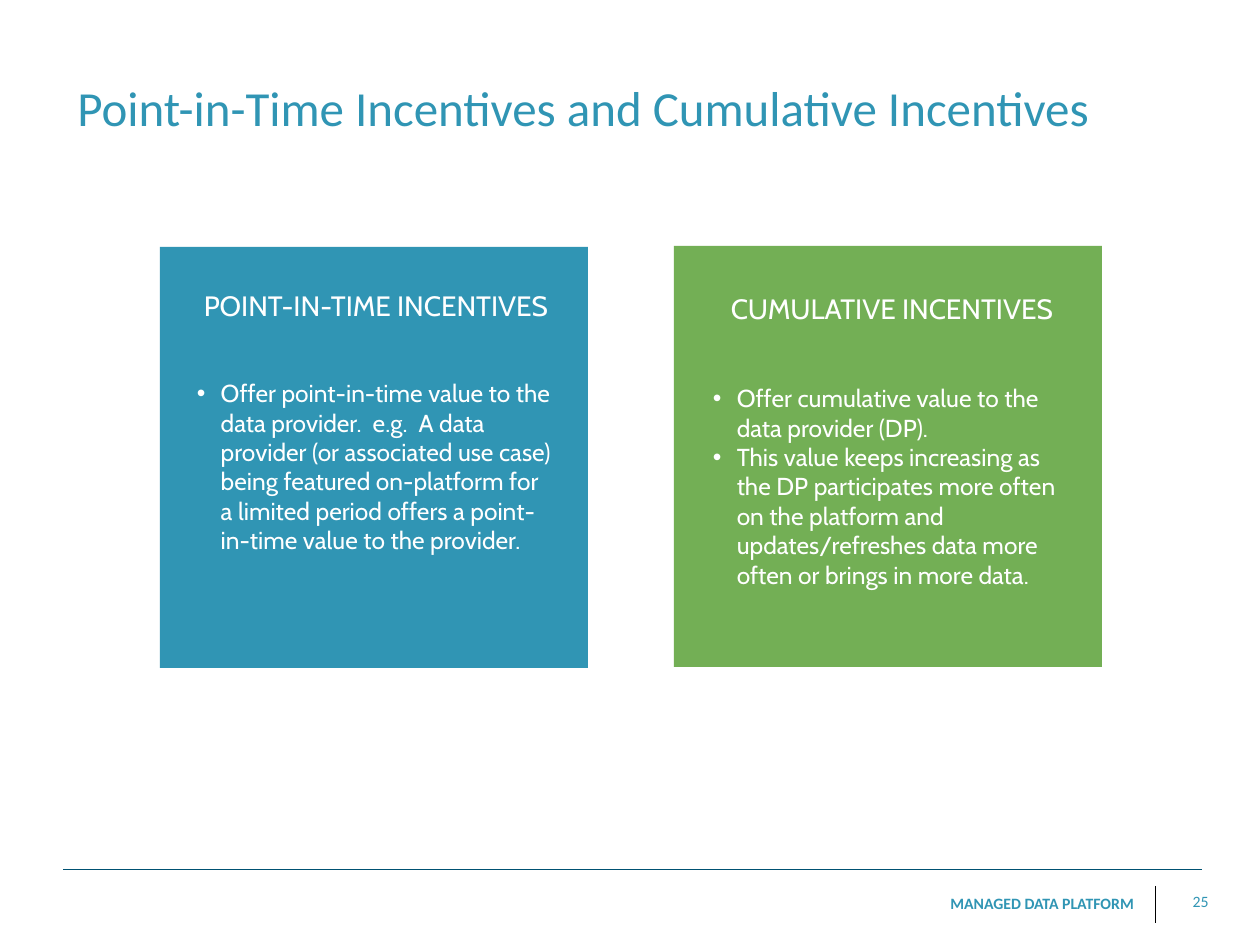
from lxml import etree
from pptx import Presentation
from pptx import util as u
from pptx.dml.color import RGBColor
from pptx.enum import shapes, text
from pptx.oxml.ns import qn

PX = 914400 / 126  # EMU per px
COLORS = {"blue": "3095B4", "green": "73AF55", "white": "FFFFFF",
          "rule": "005172", "black": "000000"}
ALIGN = text.PP_ALIGN


def px(*lengths):
    return [u.Emu(round(n * PX)) for n in lengths]


def rgb(name):
    return RGBColor.from_string(COLORS[name])


def write(sp, paragraphs, size, font, color, align=ALIGN.LEFT, anchor="TOP",
          bold=False, bullets=False, wrap=True):
    """Fill a shape with evenly formatted paragraphs."""
    tf = sp.text_frame
    tf.word_wrap = wrap
    tf.auto_size = text.MSO_AUTO_SIZE.NONE
    tf.vertical_anchor = text.MSO_ANCHOR[anchor]
    tf.margin_left = tf.margin_right = tf.margin_top = tf.margin_bottom = u.Inches(0.05)
    for i, line in enumerate(paragraphs):
        p = tf.paragraphs[0] if i == 0 else tf.add_paragraph()
        p.text = line
        p.alignment = align
        p.space_before = u.Pt(0)
        if bullets:
            pPr = p._p.get_or_add_pPr()
            pPr.set("marL", str(u.Inches(0.25)))
            pPr.set("indent", str(-u.Inches(0.19)))
            etree.SubElement(pPr, qn("a:buFont")).set("typeface", "Arial")
            etree.SubElement(pPr, qn("a:buChar")).set("char", "•")
        for r in p.runs:
            r.font.size = u.Pt(size)
            r.font.name = font
            r.font.bold = bold
            r.font.color.rgb = rgb(color)


def add_line(s, x1, y1, x2, y2, color):
    line = s.shapes.add_connector(shapes.MSO_CONNECTOR.STRAIGHT, *px(x1, y1, x2, y2))
    line.line.color.rgb = rgb(color)
    line.line.width = u.Pt(0.5)
    etree.SubElement(line._element.spPr, qn("a:effectLst"))


def add_title(s, x, y, w, h, title):
    sp = s.shapes.title
    sp.left, sp.top, sp.width, sp.height = px(x, y, w, h)
    write(sp, [title], 28, "Calibri", "blue", anchor="MIDDLE")


def add_card(s, x, y, w, h, color, heading, points, head_at, body_at):
    # Panel
    sp = s.shapes.add_shape(shapes.MSO_SHAPE.RECTANGLE, *px(x, y, w, h))
    sp.shadow.inherit = False
    sp.fill.solid()
    sp.fill.fore_color.rgb = rgb(color)
    sp.line.fill.background()
    # Heading
    dx, dy = head_at
    box = s.shapes.add_textbox(*px(x + dx, y + dy, w - 52, 68))
    write(box, [heading], 16, "Cabin", "white", ALIGN.CENTER, "MIDDLE")
    # Bullet points
    dx, dy = body_at
    box = s.shapes.add_textbox(*px(x + dx, y + dy, w - 50, 209))
    write(box, points, 14, "Cabin", "white", bullets=True)


def add_footer(s, x, y, w, label, number):
    add_line(s, x, y, x + w, y, "rule")
    add_line(s, x + 1092, y + 17, x + 1092, y + 54, "black")
    box = s.shapes.add_textbox(*px(x + 699, y + 19, 378, 32))
    write(box, [label], 9, "Calibri", "blue", ALIGN.RIGHT, bold=True)
    box = s.shapes.add_textbox(*px(x + 1120, y + 17, 32, 32))
    write(box, [number], 9, "Calibri", "blue", ALIGN.RIGHT, wrap=False)


def main():
    prs = Presentation()
    prs.slide_width, prs.slide_height = px(1260, 945)
    s = prs.slides.add_slide(prs.slide_layouts[5])

    add_footer(s, 63, 869, 1139, "MANAGED DATA PLATFORM", "25")
    add_title(s, 71, 16, 1135, 181, "Point-in-Time Incentives and Cumulative Incentives")
    add_card(s, 160, 247, 428, 421, "blue", "POINT-IN-TIME INCENTIVES",
             ["Offer point-in-time value to the data provider.  e.g.  A data provider "
              "(or associated use case) being featured on-platform for a limited period "
              "offers a point-in-time value to the provider."],
             head_at=(28, 24), body_at=(23, 125))
    add_card(s, 674, 246, 428, 421, "green", "CUMULATIVE INCENTIVES",
             ["Offer cumulative value to the data provider (DP).",
              "This value keeps increasing as the DP participates more often on the "
              "platform and updates/refreshes data more often or brings in more data."],
             head_at=(30, 28), body_at=(25, 131))

    prs.save("out.pptx")


if __name__ == "__main__":
    main()
